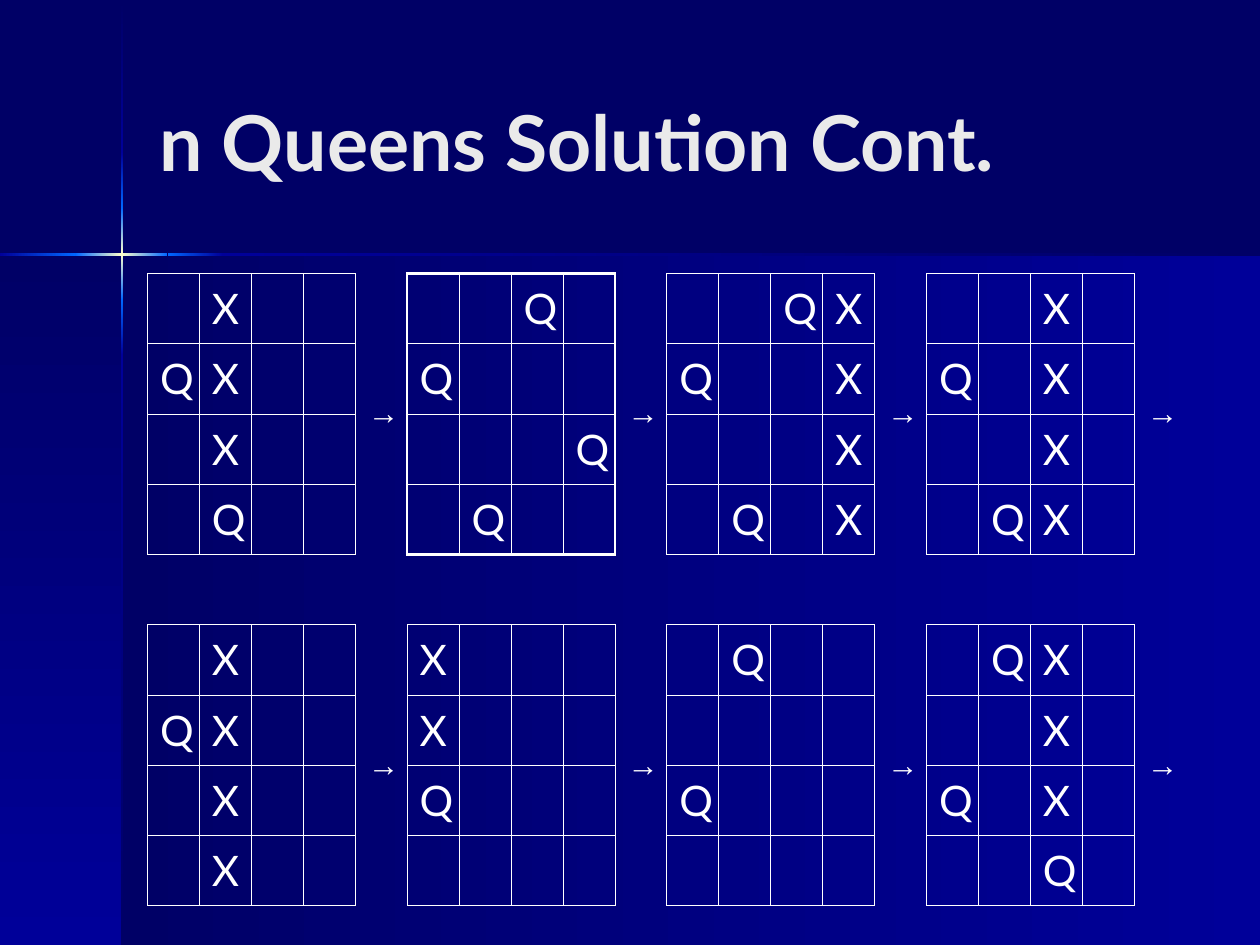
from itertools import pairwise, product

from pptx import Presentation
from pptx import util as u
from pptx.dml.color import RGBColor
from pptx.enum import shapes, text
from pptx.oxml import parse_xml
from pptx.oxml.ns import nsdecls

NIGHT, NAVY, BLUE, CREAM = "000066", "000099", "0066FF", "FFFFCC"
WHITE, TITLE_GREY = "FFFFFF", "EAEAEA"
NO_GRID_STYLE = "{2D5ABB26-0587-4C30-8999-92F81FD0307C}"
SIZE = 4  # queens per board
THIN, THICK = 0.45, 1.47

# One string per board row; a dot is an empty square.
BOARDS = [
    [
        [".X..", "QX..", ".X..", ".Q.."],
        ["..Q.", "Q...", "...Q", ".Q.."],
        ["..QX", "Q..X", "...X", ".Q.X"],
        ["..X.", "Q.X.", "..X.", ".QX."],
    ],
    [
        [".X..", "QX..", ".X..", ".X.."],
        ["X...", "X...", "Q...", "...."],
        [".Q..", "....", "Q...", "...."],
        [".QX.", "..X.", "Q.X.", "..Q."],
    ],
]
SOLVED = (0, 1)


def rgb(value):
    return RGBColor.from_string(value)


def write(frame, words, size, color, font="Lato", bold=False, align=text.PP_ALIGN.LEFT, before=0):
    paragraph = frame.paragraphs[0]
    paragraph.alignment = align
    paragraph.space_before = u.Pt(before)
    run = paragraph.add_run()
    run.text = words
    run.font.size, run.font.name, run.font.bold = u.Pt(size), font, bold
    run.font.color.rgb = rgb(color)


def add_gradient_panel(slide, left, top, width, height, colors, angle):
    """Rectangle with evenly spaced colour stops, running right (0) or down (90)."""
    panel = slide.shapes.add_shape(
        shapes.MSO_SHAPE.RECTANGLE, *map(u.Inches, (left, top, width, height)))
    panel.shadow.inherit = False
    panel.line.fill.background()
    stops = "".join(
        f'<a:gs pos="{100000 * i // (len(colors) - 1)}"><a:srgbClr val="{color}"/></a:gs>'
        for i, color in enumerate(colors))
    panel._element.spPr.insert(2, parse_xml(
        f'<a:gradFill {nsdecls("a")} rotWithShape="1"><a:gsLst>{stops}</a:gsLst>'
        f'<a:lin ang="{angle * 60000}" scaled="0"/></a:gradFill>'))


def add_backdrop(slide, left, top, right, bottom):
    """Two shaded panels and the light beams that cross at their corner."""
    corner_x, corner_y, beam = 0.97, 2.02, 0.02
    add_gradient_panel(slide, corner_x, corner_y, right - corner_x, bottom - corner_y,
                       [NIGHT, NAVY], 0)
    add_gradient_panel(slide, left, corner_y, corner_x - left, bottom - corner_y,
                       [NIGHT, NAVY], 90)
    ramps = [[NIGHT, NAVY], [NAVY, BLUE], [BLUE, CREAM, BLUE], [BLUE, NAVY], [NAVY, NIGHT]]
    for (start, end), ramp in zip(pairwise([top, 1.21, 1.65, 2.38, 2.82, bottom]), ramps):
        add_gradient_panel(slide, corner_x - beam / 2, start, beam, end - start, ramp, 90)
    for (start, end), ramp in zip(pairwise([left, 0.6, 1.33, 1.77, right]), ramps[1:]):
        add_gradient_panel(slide, start, corner_y - beam / 2, end - start, beam, ramp, 0)


def add_title(slide, left, top, width, height):
    frame = slide.shapes.add_textbox(*map(u.Inches, (left, top, width, height))).text_frame
    frame.word_wrap = True
    frame.vertical_anchor = text.MSO_ANCHOR.MIDDLE
    write(frame, "n Queens Solution Cont.", 44, TITLE_GREY, bold=True)


def set_borders(cell, widths):
    """Draw white left, right, top and bottom borders of the given point widths."""
    properties = cell._tc.get_or_add_tcPr()
    for i, (side, width) in enumerate(zip(("lnL", "lnR", "lnT", "lnB"), widths)):
        properties.insert(i, parse_xml(
            f'<a:{side} {nsdecls("a")} w="{u.Pt(width)}"><a:solidFill>'
            f'<a:srgbClr val="{WHITE}"/></a:solidFill></a:{side}>'))


def fill_board(table, first_row, first_column, board, frame_width):
    last = SIZE - 1
    for row, column in product(range(SIZE), repeat=2):
        cell = table.cell(first_row + row, first_column + column)
        outer = (column == 0, column == last, row == 0, row == last)
        set_borders(cell, [frame_width if edge else THIN for edge in outer])
        mark = board[row][column]
        if mark != ".":
            write(cell.text_frame, mark, 24, WHITE, align=text.PP_ALIGN.CENTER, before=6)


def add_arrow(table, row, column):
    cell = table.cell(row, column)
    cell.merge(table.cell(row + 1, column))
    write(cell.text_frame, "→", 18, WHITE, font="Arial",
          align=text.PP_ALIGN.CENTER, before=4.5)


def add_boards(slide, left, top, width, height):
    """All boards share one table; a spare row and spare columns separate them."""
    step = SIZE + 1
    rows, columns = step * len(BOARDS) - 1, step * len(BOARDS[0])
    graphic = slide.shapes.add_table(
        rows, columns, *map(u.Inches, (left, top, width, height)))
    table = graphic.table
    table.first_row = table.horz_banding = False
    table._tbl.tblPr.find("{*}tableStyleId").text = NO_GRID_STYLE
    for column in table.columns:
        column.width = u.Inches(width / columns)
    for row in table.rows:
        row.height = u.Inches(height / rows)
    for cell in table.iter_cells():
        cell.fill.background()
        cell.vertical_anchor = text.MSO_ANCHOR.MIDDLE
    for i, board_row in enumerate(BOARDS):
        for j, board in enumerate(board_row):
            fill_board(table, i * step, j * step, board, THICK if (i, j) == SOLVED else THIN)
            add_arrow(table, i * step + 1, j * step + SIZE)


def main():
    deck = Presentation()
    deck.slide_width, deck.slide_height = u.Inches(10), u.Inches(7.5)
    slide = deck.slides.add_slide(deck.slide_layouts[6])
    slide.background.fill.solid()
    slide.background.fill.fore_color.rgb = rgb(NIGHT)
    add_backdrop(slide, 0, 0, 10, 7.5)
    add_title(slide, 1.17, 0.33, 8.25, 1.57)
    add_boards(slide, 1.17, 2.17, 8.25, 5.02)
    deck.save("out.pptx")


if __name__ == "__main__":
    main()
